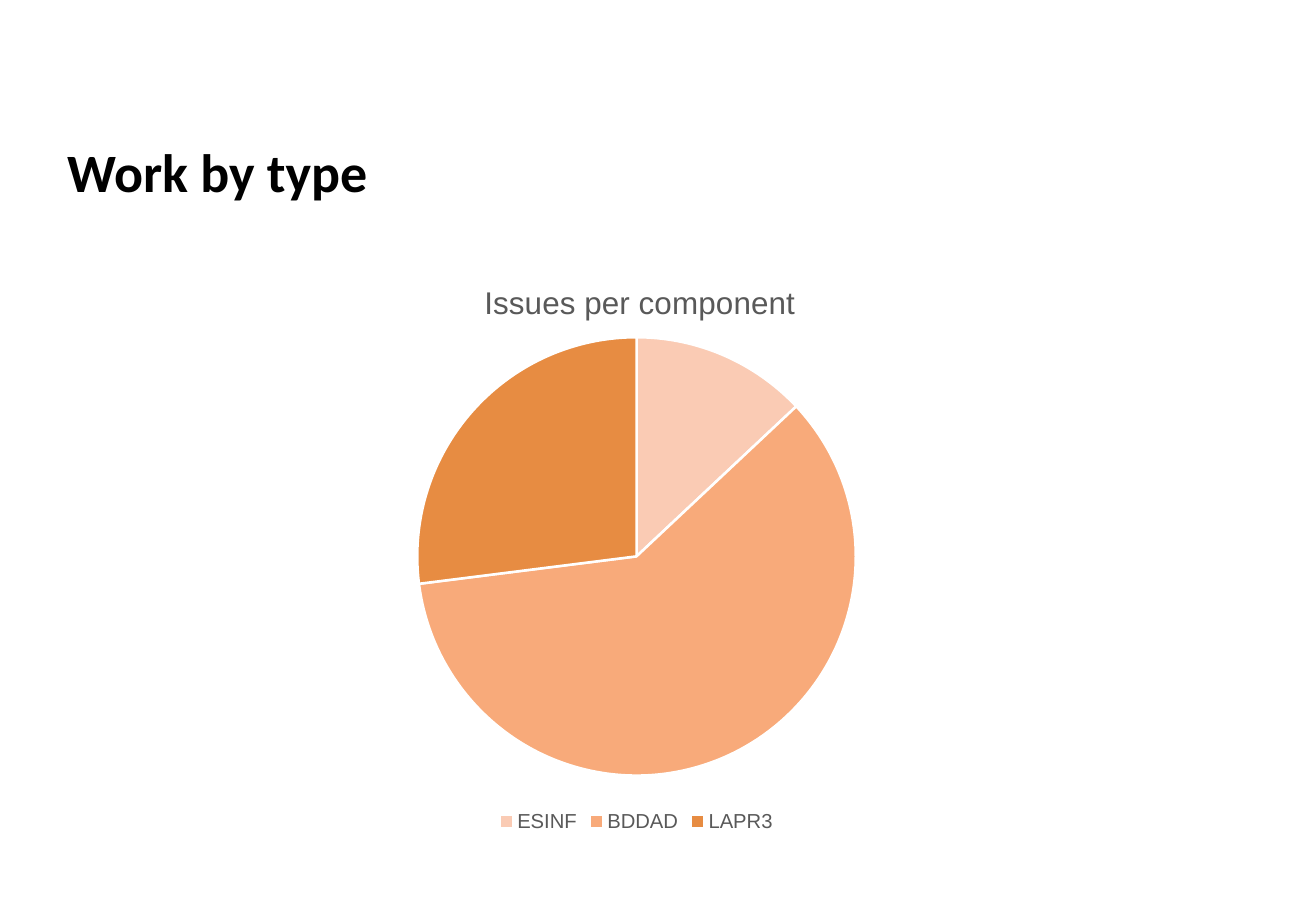
from lxml import etree
from pptx import Presentation
from pptx import util as u
from pptx.chart import data
from pptx.dml.color import RGBColor
from pptx.enum import chart as ch, text
from pptx.oxml import ns

PX = 7526
BLACK = RGBColor(0x00, 0x00, 0x00)
WHITE = RGBColor(0xFF, 0xFF, 0xFF)
GREY = RGBColor(0x59, 0x59, 0x59)
PEACH = RGBColor(0xFA, 0xCB, 0xB4)
APRICOT = RGBColor(0xF8, 0xAA, 0x7A)
ORANGE = RGBColor(0xE7, 0x8C, 0x42)


def place(parent, index, **settings):
    for old in parent.findall(ns.qn("c:layout")):
        parent.remove(old)
    layout = etree.Element(ns.qn("c:layout"))
    manual = etree.SubElement(layout, ns.qn("c:manualLayout"))
    for name, value in settings.items():
        etree.SubElement(manual, ns.qn("c:" + name)).set("val", str(value))
    parent.insert(index, layout)


prs = Presentation()
prs.slide_width = u.Inches(10.83)
prs.slide_height = u.Inches(7.5)
s = prs.slides.add_slide(prs.slide_layouts[5])

title = s.shapes.title
title.left, title.top, title.width, title.height = [v * PX for v in (55, 132, 1202, 77)]
tf = title.text_frame
tf.text = "Work by type"
tf.vertical_anchor = text.MSO_ANCHOR.MIDDLE
p = tf.paragraphs[0]
p.alignment = text.PP_ALIGN.LEFT
r = p.runs[0]
r.font.name = "Calibri"
r.font.size = u.Pt(32)
r.font.bold = True
r.font.color.rgb = BLACK

cd = data.CategoryChartData()
cd.categories = ["ESINF", "BDDAD", "LAPR3"]
cd.add_series("Series 1", (13, 60, 27))
box = [v * PX for v in (198, 253, 877, 584)]
chart = s.shapes.add_chart(ch.XL_CHART_TYPE.PIE, *box, cd).chart
chart.font.name = "Arial"
chart.font.size = u.Pt(10)
chart.font.color.rgb = BLACK

chart.has_title = True
tf = chart.chart_title.text_frame
tf.text = "Issues per component"
r = tf.paragraphs[0].runs[0]
r.font.name = "Arial"
r.font.size = u.Pt(18.6)
r.font.bold = False
r.font.color.rgb = GREY

chart.has_legend = True
legend = chart.legend
legend.position = ch.XL_LEGEND_POSITION.BOTTOM
legend.include_in_layout = False
legend.font.name = "Arial"
legend.font.size = u.Pt(12)
legend.font.color.rgb = GREY

plot = chart.plots[0]
plot.vary_by_categories = True
for i, color in enumerate((PEACH, APRICOT, ORANGE)):
    fmt = plot.series[0].points[i].format
    fmt.fill.solid()
    fmt.fill.fore_color.rgb = color
    fmt.line.color.rgb = WHITE
    fmt.line.width = u.Pt(1.5)

place(chart.chart_title._element, 1, xMode="edge", yMode="edge", x=0.32, y=0.04)
place(chart._chartSpace.chart.plotArea, 0, layoutTarget="inner",
      xMode="edge", yMode="edge", x=0.25, y=0.14, w=0.5, h=0.76)

prs.save("out.pptx")
